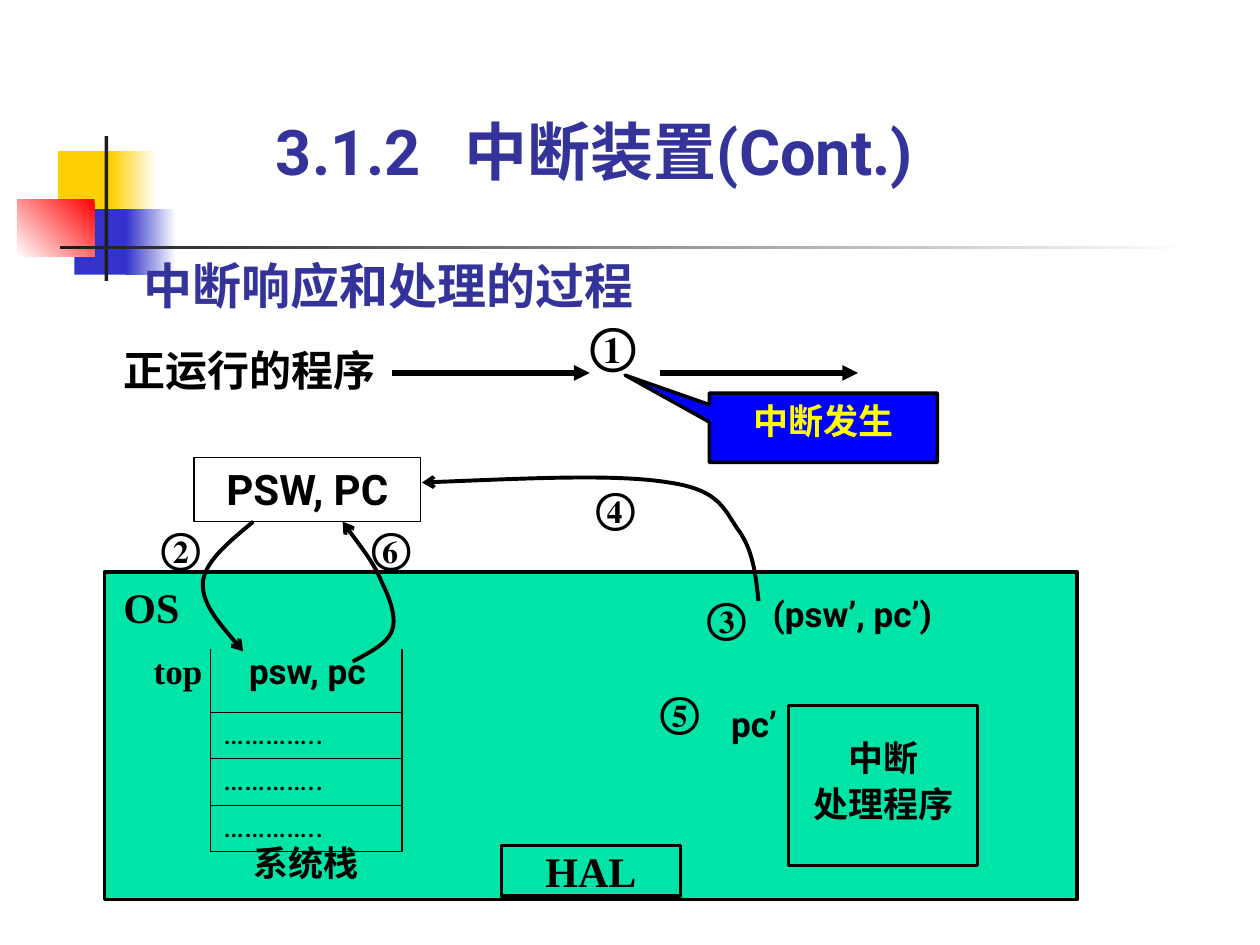
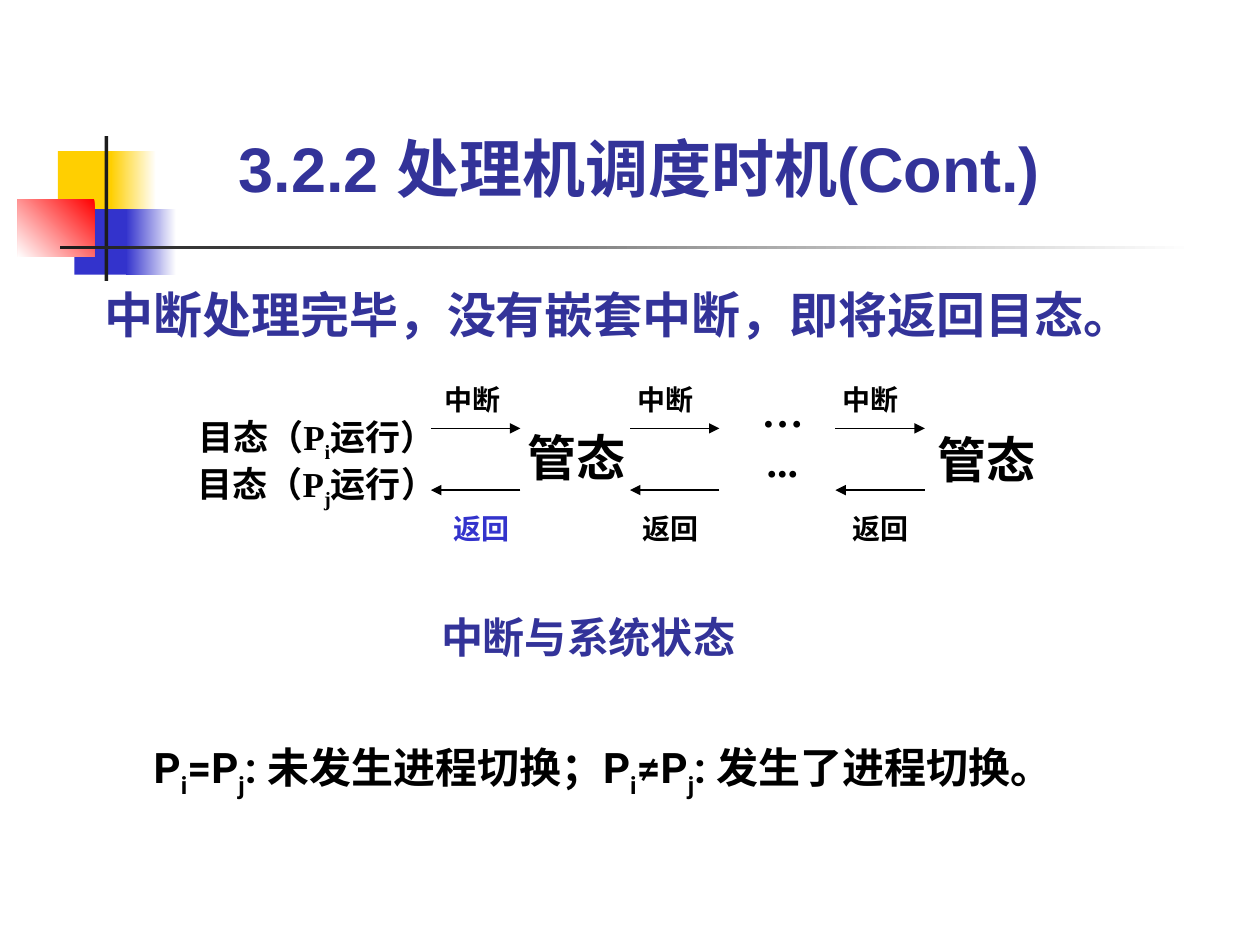
from lxml import etree
from pptx import Presentation
from pptx.dml.color import RGBColor
from pptx.enum.shapes import MSO_CONNECTOR, MSO_SHAPE
from pptx.enum.text import MSO_ANCHOR, MSO_AUTO_SIZE, PP_ALIGN
from pptx.oxml.ns import qn
from pptx.util import Inches, Pt

RECTANGLE, CALLOUT = MSO_SHAPE.RECTANGLE, MSO_SHAPE.RECTANGULAR_CALLOUT
STRAIGHT = MSO_CONNECTOR.STRAIGHT
LEFT, CENTER = PP_ALIGN.LEFT, PP_ALIGN.CENTER
TOP, MIDDLE, BOTTOM = MSO_ANCHOR.TOP, MSO_ANCHOR.MIDDLE, MSO_ANCHOR.BOTTOM
NO_FIT = MSO_AUTO_SIZE.NONE

COLORS = {
    "title": "333399", "text": "000000", "white": "FFFFFF", "gold": "FFCF01",
    "indigo": "3333CC", "red": "FF0000", "dark": "1C1C1C", "system": "00E4A8",
    "callout": "0000FF", "callout_text": "FFFF00",
}
SERIF, SANS, ARIAL = "Times New Roman", "Roboto", "Arial"
TIGHT = (0, 0, 0, 0)
PADDED = (0.1, 0.05, 0.1, 0.05)


def rgb(name):
    """Return the named colour."""
    return RGBColor.from_string(COLORS[name])


def inches(values):
    """Turn numbers into lengths."""
    return [Inches(value) for value in values]


def within(box, left, top, width, height):
    """Return a box placed relative to the corner of another."""
    return box[0] + left, box[1] + top, width, height


def add_child(parent, tag, **attributes):
    """Append a drawing element with its attributes."""
    return etree.SubElement(parent, qn(tag), attributes)


def write_text(shape, text, size, font=SERIF, color="text", align=LEFT, anchor=TOP,
               margins=TIGHT, spacing=None, bold=True, wrap=True):
    """Write formatted lines; parts between underscores are subscripts."""
    frame = shape.text_frame
    frame.word_wrap = wrap
    frame.vertical_anchor = anchor
    (frame.margin_left, frame.margin_top,
     frame.margin_right, frame.margin_bottom) = inches(margins)
    frame.text = text.replace("_", "")
    for paragraph, line in zip(frame.paragraphs, text.split("\n")):
        paragraph.alignment = align
        paragraph.line_spacing = spacing
        if "_" in line:
            paragraph.text = ""
            for index, part in enumerate(line.split("_")):
                run = paragraph.add_run()
                run.text = part
                if index % 2:
                    run.font._element.set("baseline", "-25000")
        for run in paragraph.runs:
            run.font.size = Pt(size)
            run.font.name = font
            run.font.bold = bold
            run.font.color.rgb = rgb(color)


def add_label(shapes, box, text, size, **style):
    """Add a text box."""
    label = shapes.add_textbox(*inches(box))
    write_text(label, text, size, **style)


def add_block(shapes, box, fill=None, line=None, kind=RECTANGLE):
    """Add a preset shape with an optional fill and outline width."""
    block = shapes.add_shape(kind, *inches(box))
    block.shadow.inherit = False
    if fill:
        block.fill.solid()
        block.fill.fore_color.rgb = rgb(fill)
    else:
        block.fill.background()
    if line:
        block.line.color.rgb = rgb("text")
        block.line.width = Pt(line)
    else:
        block.line.fill.background()
    return block


def finish_arrow(shape, width, head):
    """Give a line its colour, width and arrowhead."""
    shape.line.color.rgb = rgb("text")
    shape.line.width = Pt(width)
    add_child(shape.element.spPr.find(qn("a:ln")), "a:tailEnd", type=head)


def add_arrow(shapes, start, end, width):
    """Add a straight arrow."""
    arrow = shapes.add_connector(STRAIGHT, *inches(start + end))
    finish_arrow(arrow, width, "triangle")
    add_child(arrow.element.spPr, "a:effectLst")


def add_curve(shapes, points):
    """Add an arrow along cubic curves through a start and triples of points."""
    start, *rest = [inches(point) for point in points]
    builder = shapes.build_freeform(*start)
    builder.add_line_segments(rest, close=False)
    curve = builder.convert_to_shape()
    outline = curve.element.find(".//" + qn("a:path"))
    lines = outline.findall(qn("a:lnTo"))
    for first in range(0, len(lines), 3):
        cubic = add_child(outline, "a:cubicBezTo")
        for line in lines[first:first + 3]:
            cubic.append(line[0])
            outline.remove(line)
    curve.fill.background()
    curve.shadow.inherit = False
    finish_arrow(curve, 2.25, "arrow")


def add_master_ornament(presentation, slide):
    """Put the coloured squares and the fading rule on the master."""
    ornaments = [
        ((0.46, 1.2, 0.48, 0.52), "gold", None, 0),
        ((0.88, 1.2, 0.36, 0.52), "white", "gold", 180),
        ((0.59, 1.66, 0.46, 0.52), "indigo", None, 0),
        ((1, 1.66, 0.4, 0.52), "white", "indigo", 180),
        ((0.14, 1.58, 0.61, 0.46), "red", "white", 225),
        ((0.83, 1.08, 0.03, 1.15), "dark", None, 0),
        ((0.48, 1.95, 9, 0.03), "white", "dark", 180),
    ]
    for number, (box, start, end, angle) in enumerate(ornaments, 101):
        ornament = add_block(slide.shapes, box, start)
        if end:
            ornament.fill.gradient()
            ornament.fill.gradient_angle = angle
            for stop, color in zip(ornament.fill.gradient_stops, (start, end)):
                stop.color.rgb = rgb(color)
        ornament.element.nvSpPr.cNvPr.set("id", str(number))
        presentation.slide_master.shapes.element.append(ornament.element)


def fill_placeholder(placeholder, box, text, size, tab=None, **style):
    """Move a placeholder and write unbulleted text into it."""
    placeholder.left, placeholder.top, placeholder.width, placeholder.height = inches(box)
    placeholder.text_frame.auto_size = NO_FIT
    write_text(placeholder, text, size, color="title", **style)
    paragraph = placeholder.text_frame.paragraphs[0]
    paragraph.space_before = Pt(0)
    properties = paragraph._p.get_or_add_pPr()
    properties.set("marL", "0")
    properties.set("indent", "0")
    add_child(properties, "a:buNone")
    if tab:
        tabs = add_child(properties, "a:tabLst")
        add_child(tabs, "a:tab", pos=str(Inches(tab)), algn="l")


def set_cell_borders(cell, top_width, bottom_width):
    """Draw the cell's sides and its horizontal borders."""
    properties = cell._tc.get_or_add_tcPr()
    sides = [("a:lnL", 1.08), ("a:lnR", 1.08), ("a:lnT", top_width), ("a:lnB", bottom_width)]
    for index, (tag, width) in enumerate(sides):
        border = add_child(properties, tag, w=str(Pt(width)))
        if width:
            fill = add_child(border, "a:solidFill")
            add_child(fill, "a:srgbClr", val=COLORS["text"])
        else:
            add_child(border, "a:noFill")
        properties.insert(index, border)


def add_system_stack(shapes, box):
    """Add the stack table with its top entry and caption."""
    heights = [0.5, 0.37, 0.37, 0.37]
    table = shapes.add_table(4, 1, *inches(box)).table
    table.first_row = table.horz_banding = False
    for index, height in enumerate(heights):
        table.rows[index].height = Inches(height)
        cell = table.cell(index, 0)
        cell.fill.background()
        set_cell_borders(cell, 0.45 if index else 0, 0.45 if index < 3 else 1.08)
        if index:
            cell.vertical_anchor = MIDDLE
            cell.text = "………….."
            paragraph = cell.text_frame.paragraphs[0]
            paragraph.line_spacing = 0.8
            font = paragraph.runs[0].font
            font.size, font.name, font.color.rgb = Pt(18), SANS, rgb("text")
    add_label(shapes, within(box, -0.45, 0.07, 0.47, 0.27), "top", 20, spacing=0.8)
    add_label(shapes, within(box, 0.1, 0.07, 1.34, 0.27), "psw, pc", 20,
              font=SANS, align=CENTER, spacing=0.8)
    add_label(shapes, within(box, 0.34, 1.59, 0.94, 0.27), "系统栈", 20, spacing=0.8)


def add_running_program(shapes, box):
    """Add the program's time line and the interrupt callout."""
    left, top = box[:2]
    add_label(shapes, within(box, 0, 0.22, 2.36, 0.32), "正运行的程序", 24, spacing=0.8)
    for start in (2.13, 4.26):
        add_arrow(shapes, (left + start, top + 0.37), (left + start + 1.57, top + 0.37), 3)
    callout = add_block(shapes, within(box, 4.65, 0.53, 1.81, 0.55), "callout", 2, CALLOUT)
    callout.adjustments[0], callout.adjustments[1] = -0.87, -0.76
    write_text(callout, "中断发生", 20, color="callout_text", align=CENTER, margins=PADDED)


def add_operating_system(shapes, box):
    """Add the operating system panel with its parts."""
    add_block(shapes, box, "system", 2)
    add_label(shapes, within(box, 0.15, 0.15, 0.55, 0.32), "OS", 24, spacing=0.8)
    hal = add_block(shapes, within(box, 3.15, 2.17, 1.42, 0.4), line=2)
    write_text(hal, "HAL", 24, align=CENTER)
    handler = add_block(shapes, within(box, 5.43, 1.06, 1.5, 1.27), line=2)
    write_text(handler, "中断\n处理程序", 20, align=CENTER,
               margins=(0.1, 0.21, 0.1, 0.33), spacing=1.1)
    for text, left, top, width in (("(psw’, pc’)", 5.11, 0.23, 1.65),
                                   ("pc’", 4.88, 1.1, 0.55)):
        add_label(shapes, within(box, left, top, width, 0.27), text, 20,
                  font=SANS, align=CENTER, spacing=0.8)
    add_system_stack(shapes, within(box, 0.84, 0.61, 1.52, 1.61))


def add_transfers(shapes):
    """Add the curved transfers and the step numbers."""
    add_curve(shapes, [(2.01, 4.14), (1.82, 4.3), (1.63, 4.45), (1.61, 4.62),
                       (1.6, 4.79), (1.77, 4.98), (1.93, 5.17)])
    add_curve(shapes, [(6.02, 4.77), (6, 4.58), (5.98, 4.38), (5.87, 4.22),
                       (5.75, 4.06), (5.73, 3.89), (5.31, 3.83),
                       (4.89, 3.76), (4.12, 3.8), (3.35, 3.83)])
    add_curve(shapes, [(2.8, 5.25), (2.93, 5.18), (3.07, 5.11), (3.11, 5.01),
                       (3.15, 4.91), (3.1, 4.76), (3.03, 4.62),
                       (2.97, 4.47), (2.84, 4.31), (2.72, 4.14)])
    add_label(shapes, (4.69, 2.59, 0.39, 0.37), "①", 28, spacing=0.8, wrap=False)
    steps = [("②", 1.28, 4.22), ("③", 5.61, 4.77), ("④", 4.73, 3.9),
             ("⑤", 5.24, 5.52), ("⑥", 2.95, 4.22)]
    for number, left, top in steps:
        add_label(shapes, (left, top, 0.33, 0.32), number, 24, spacing=0.8, wrap=False)


def build_interrupt_slide(slide):
    """Show how an interrupt is answered and handled."""
    title, body = slide.placeholders
    fill_placeholder(title, (2.09, 0.84, 5.83, 0.7), "3.1.2\t中断装置(Cont.)", 36,
                     tab=1.54, font=SANS, anchor=BOTTOM, margins=PADDED)
    fill_placeholder(body, (1.14, 2.1, 4.02, 0.39), "中断响应和处理的过程", 28,
                     font=SANS, anchor=BOTTOM, spacing=0.8)
    shapes = slide.shapes
    add_running_program(shapes, (0.98, 2.59, 6.46, 1.08))
    add_operating_system(shapes, (0.83, 4.54, 7.72, 2.6))
    registers = add_block(shapes, (1.54, 3.63, 1.8, 0.51), "white", 0.75)
    write_text(registers, "PSW, PC", 24, font=SANS, align=CENTER, margins=PADDED)
    add_transfers(shapes)


def add_state_diagram(shapes, box):
    """Add the user and kernel states with their transitions."""
    left, top = box[:2]
    user = add_block(shapes, within(box, 0, 0.17, 1.97, 1.03), "white")
    write_text(user, "目态（P_i_运行）\n目态（P_j_运行）", 20, align=CENTER,
               anchor=MIDDLE, margins=PADDED, wrap=False)
    for x, y in ((2.56, 0.35), (5.81, 0.37)):
        add_label(shapes, within(box, x, y, 1, 0.57), "管态", 28, margins=PADDED)
    add_label(shapes, within(box, 4.39, 0.17, 0.58, 0.6), "…...", 24, align=CENTER,
              anchor=MIDDLE, margins=PADDED, wrap=False)
    transitions = [(1.89, 1.9, 1.97, "indigo"), (3.47, 3.43, 3.47, "text"),
                   (5.1, 5.06, 5.14, "text")]
    for arrow, call, back, color in transitions:
        start, end = left + arrow, left + arrow + 0.71
        add_arrow(shapes, (start, top + 0.41), (end, top + 0.41), 0.75)
        add_arrow(shapes, (end, top + 0.9), (start, top + 0.9), 0.75)
        add_label(shapes, within(box, call, 0, 0.67, 0.37), "中断", 16, margins=PADDED)
        add_label(shapes, within(box, back, 1.02, 0.67, 0.37), "返回", 16,
                  color=color, margins=PADDED)
    add_label(shapes, within(box, 1.97, 1.86, 2.68, 0.4), "中断与系统状态", 24, color="title")


def build_scheduling_slide(slide):
    """Show when the processor is scheduled."""
    title, body = slide.placeholders
    fill_placeholder(title, (1.69, 1.03, 6.77, 0.6), "3.2.2 处理机调度时机(Cont.)", 36,
                     font=ARIAL, align=CENTER, anchor=MIDDLE)
    fill_placeholder(body, (0.83, 2.26, 8.43, 0.47),
                     "中断处理完毕，没有嵌套中断，即将返回目态。", 28, font=SANS)
    add_state_diagram(slide.shapes.add_group_shape().shapes, (1.53, 2.99, 6.81, 2.26))
    add_label(slide.shapes, (1.22, 5.75, 8.19, 0.59),
              "P_i_=P_j_: 未发生进程切换；P_i_≠P_j_: 发生了进程切换。", 24,
              font=SANS, spacing=1.3)


def main():
    """Build and save the presentation."""
    presentation = Presentation()
    presentation.slide_width, presentation.slide_height = Inches(10), Inches(7.5)
    layout = presentation.slide_layouts[1]
    slides = [presentation.slides.add_slide(layout) for _ in range(2)]
    add_master_ornament(presentation, slides[0])
    build_interrupt_slide(slides[0])
    build_scheduling_slide(slides[1])
    presentation.save("out.pptx")


if __name__ == "__main__":
    main()
